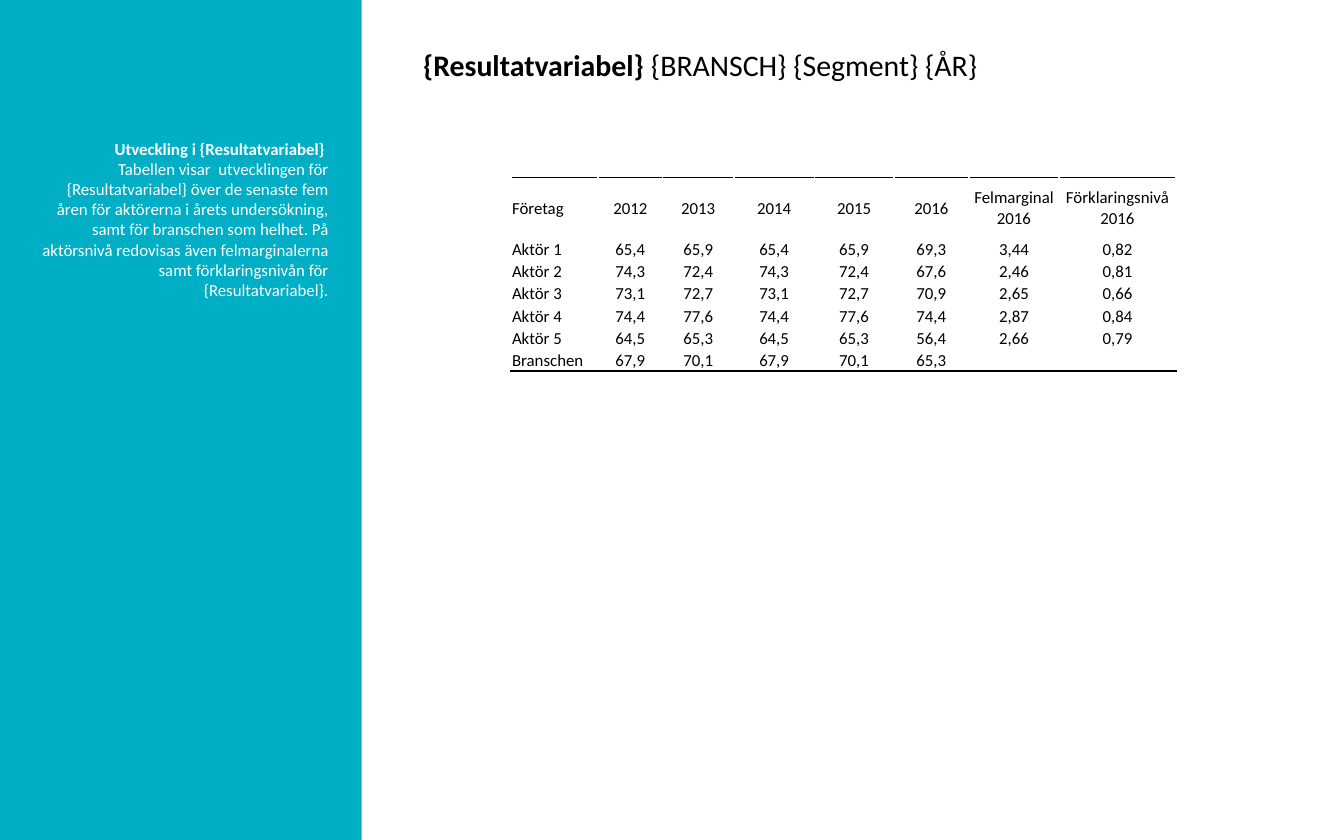
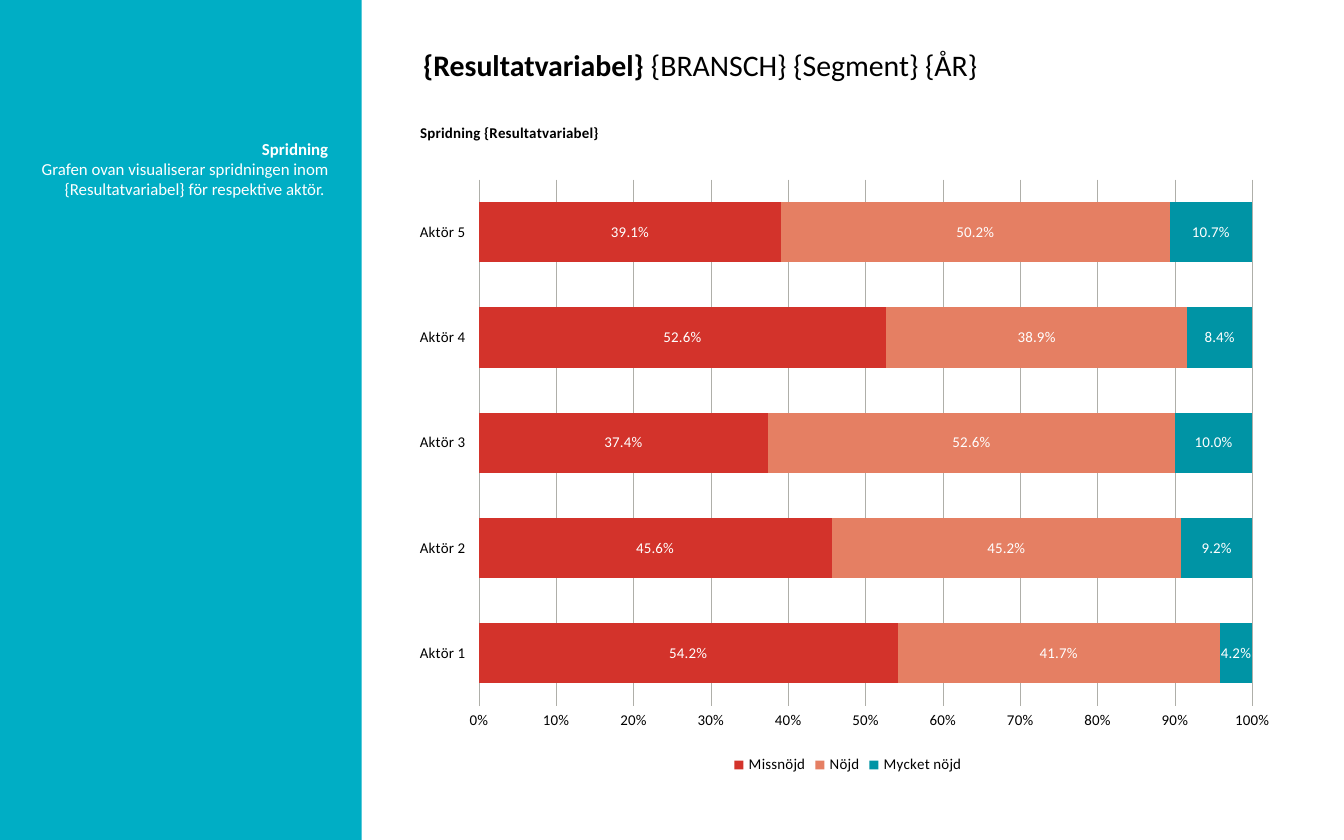
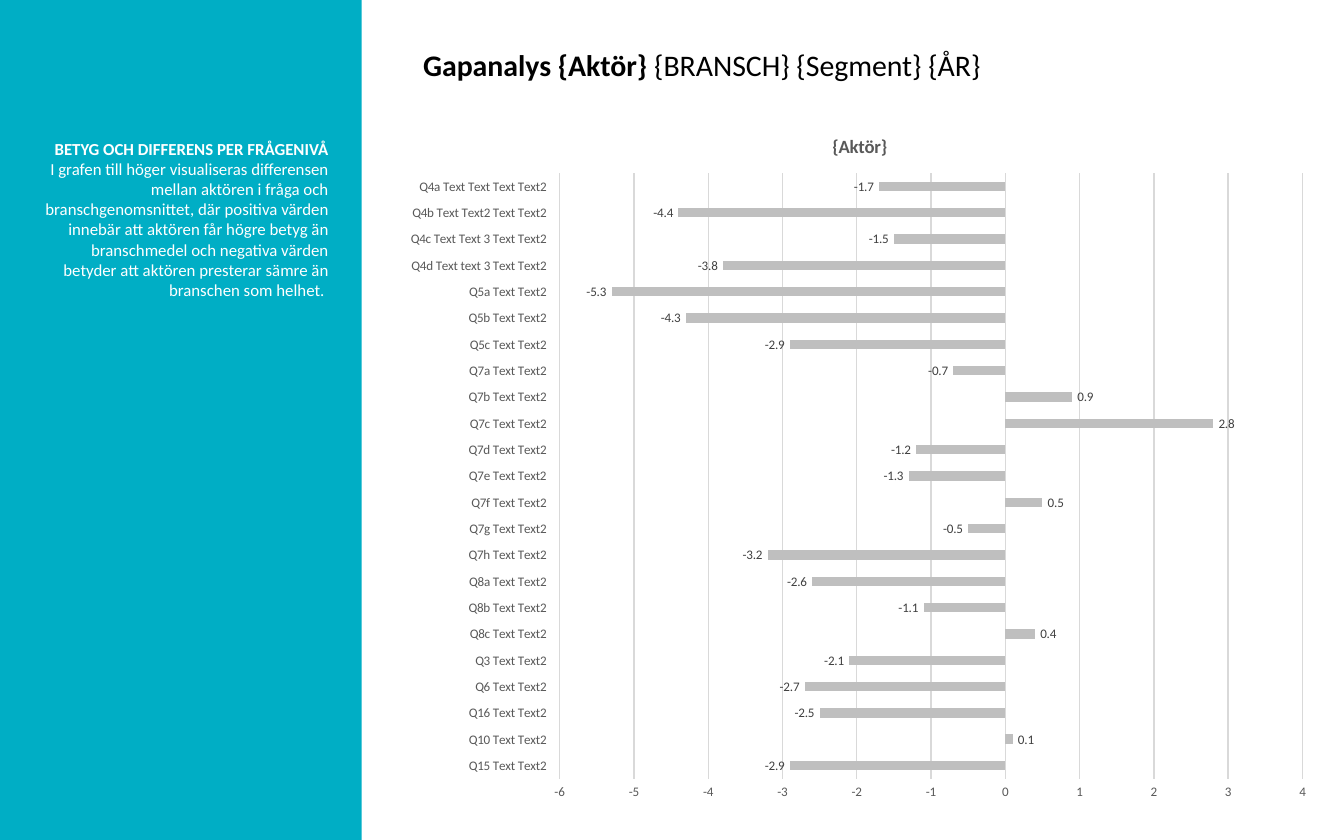
"""Build three slides on a result measure: a table, its spread and a gap chart."""
from lxml.etree import SubElement
from pptx import Presentation
from pptx.chart.data import CategoryChartData
from pptx.dml.color import RGBColor
from pptx.enum.chart import (XL_CHART_TYPE, XL_LABEL_POSITION, XL_LEGEND_POSITION,
                             XL_TICK_LABEL_POSITION, XL_TICK_MARK)
from pptx.enum.shapes import MSO_SHAPE
from pptx.enum.text import MSO_ANCHOR, PP_ALIGN
from pptx.oxml import parse_xml
from pptx.oxml.ns import nsdecls, qn
from pptx.util import Inches, Pt

TEAL = RGBColor(0x00, 0xAE, 0xC5)
WHITE = RGBColor(0xFF, 0xFF, 0xFF)
BLACK = RGBColor(0x00, 0x00, 0x00)
RED = RGBColor(0xD3, 0x33, 0x2B)
CORAL = RGBColor(0xE5, 0x7F, 0x63)
SEA = RGBColor(0x00, 0x94, 0xA5)
ASH = RGBColor(0xAF, 0xAF, 0xA9)
PALE = RGBColor(0xD9, 0xD9, 0xD9)
GREY = RGBColor(0xBF, 0xBF, 0xBF)
SLATE = RGBColor(0x59, 0x59, 0x59)
DARK = RGBColor(0x40, 0x40, 0x40)

FONT = "Calibri"
WIDE, HIGH = Inches(10), Inches(6.25)
COLS, ROWS = 100, 62.5
SCOPE = "{BRANSCH} {Segment} {ÅR}"

WIDTHS = [6.5, 4.8, 5.3, 6, 5.9, 5.6, 6.7, 8.7]
HEIGHTS = [4.5] + [1.65] * 6
TABLE = [
    ["Företag", "2012", "2013", "2014", "2015", "2016", "Felmarginal\n2016",
     "Förklaringsnivå 2016"],
    ["Aktör 1", "65,4", "65,9", "65,4", "65,9", "69,3", "3,44", "0,82"],
    ["Aktör 2", "74,3", "72,4", "74,3", "72,4", "67,6", "2,46", "0,81"],
    ["Aktör 3", "73,1", "72,7", "73,1", "72,7", "70,9", "2,65", "0,66"],
    ["Aktör 4", "74,4", "77,6", "74,4", "77,6", "74,4", "2,87", "0,84"],
    ["Aktör 5", "64,5", "65,3", "64,5", "65,3", "56,4", "2,66", "0,79"],
    ["Branschen", "67,9", "70,1", "67,9", "70,1", "65,3", "", ""],
]
SPREAD = {
    "Missnöjd": [0.542, 0.456, 0.374, 0.526, 0.391],
    "Nöjd": [0.417, 0.452, 0.526, 0.389, 0.502],
    "Mycket nöjd": [0.042, 0.092, 0.1, 0.084, 0.107],
}
GAPS = {
    "Q15 Text Text2": -2.9, "Q10 Text Text2": 0.1, "Q16 Text Text2": -2.5,
    "Q6 Text Text2": -2.7, "Q3 Text Text2": -2.1, "Q8c Text Text2": 0.4,
    "Q8b Text Text2": -1.1, "Q8a Text Text2": -2.6, "Q7h Text Text2": -3.2,
    "Q7g Text Text2": -0.5, "Q7f Text Text2": 0.5, "Q7e Text Text2": -1.3,
    "Q7d Text Text2": -1.2, "Q7c Text Text2": 2.8, "Q7b Text Text2": 0.9,
    "Q7a Text Text2": -0.7, "Q5c Text Text2": -2.9, "Q5b Text Text2": -4.3,
    "Q5a Text Text2": -5.3, "Q4d Text text 3 Text Text2": -3.8,
    "Q4c Text Text 3 Text Text2": -1.5, "Q4b Text Text2 Text Text2": -4.4,
    "Q4a Text Text Text Text2": -1.7,
}


def across(cols):
    """Turn grid columns into a length."""
    return int(WIDE * cols / COLS)


def down(rows):
    """Turn grid rows into a length."""
    return int(HIGH * rows / ROWS)


def area(x, y, w, h):
    """Turn a grid box into left, top, width and height."""
    return across(x), down(y), across(w), down(h)


def style(font, size, color, bold=False):
    """Format a font."""
    font.name, font.size, font.bold = FONT, Pt(size), bold
    font.color.rgb = color


def place(node, index, **shares):
    """Put a manual layout, in shares of the chart, at a child index."""
    for old in node.findall(qn("c:layout")):
        node.remove(old)
    layout = parse_xml(f"<c:layout {nsdecls('c')}><c:manualLayout/></c:layout>")
    manual = layout[0]
    if "w" in shares:
        SubElement(manual, qn("c:layoutTarget"), val="inner")
    for mode in ("xMode", "yMode"):
        SubElement(manual, qn("c:" + mode), val="edge")
    for key, share in shares.items():
        SubElement(manual, qn("c:" + key), val=str(share))
    node.insert(index, layout)


class Deck:
    """Hold the shared style and the current slide."""

    def __init__(self):
        """Start an empty deck."""
        self.prs = Presentation()
        self.prs.slide_width, self.prs.slide_height = WIDE, HIGH

    def page(self, lead, head, body):
        """Add a slide with its side band, title and side text."""
        self.slide = self.prs.slides.add_slide(self.prs.slide_layouts[6])
        self.band()
        title = self.text(30.5, 1.2, 55.1, 7.2, 1)
        title.vertical_anchor = MSO_ANCHOR.MIDDLE
        self.runs(title.paragraphs[0], 16, BLACK, lead + " ", SCOPE)
        side = self.text(1.6, 9.8, 23.8, 17.7, 2)
        for line, words, bold in zip(side.paragraphs, (head, body), (True, False)):
            line.alignment = PP_ALIGN.RIGHT
            line.text = words
            style(line.runs[0].font, 9, WHITE, bold)

    def band(self):
        """Draw the coloured side band."""
        band = self.slide.shapes.add_shape(MSO_SHAPE.RECTANGLE, *area(0, 0, 26.9, ROWS))
        band.shadow.inherit = False
        band.fill.solid()
        band.fill.fore_color.rgb = TEAL
        band.line.fill.background()

    def text(self, x, y, w, h, count):
        """Add a wrapping text box with a number of paragraphs."""
        frame = self.slide.shapes.add_textbox(*area(x, y, w, h)).text_frame
        frame.word_wrap = True
        for _ in range(count - 1):
            frame.add_paragraph()
        return frame

    def runs(self, line, size, color, *parts):
        """Fill a paragraph with runs, the first one bold."""
        for spot, part in enumerate(parts):
            run = line.add_run()
            run.text = part
            style(run.font, size, color, spot == 0)

    def table(self, x, y, rows):
        """Add a plain table ruled above and below."""
        box = area(x, y, sum(WIDTHS), sum(HEIGHTS))
        table = self.slide.shapes.add_table(len(rows), len(WIDTHS), *box).table
        table.first_row = table.horz_banding = False
        for col, width in zip(table.columns, WIDTHS):
            col.width = across(width)
        for row, height in zip(table.rows, HEIGHTS):
            row.height = down(height)
        for r, row in enumerate(rows):
            for c, words in enumerate(row):
                cell = table.cell(r, c)
                self.cell(cell, words, r == 0, c == 0)
                if r in (0, len(rows) - 1):
                    self.rule(cell, "lnB" if r else "lnT")

    def cell(self, cell, words, top, first):
        """Fill and format one cell."""
        cell.fill.background()
        cell.margin_left = cell.margin_right = cell.margin_top = Inches(0.01)
        cell.margin_bottom = 0
        cell.vertical_anchor = MSO_ANCHOR.MIDDLE if top else MSO_ANCHOR.BOTTOM
        cell.text_frame.text = words
        for line in cell.text_frame.paragraphs:
            line.alignment = PP_ALIGN.LEFT if first else PP_ALIGN.CENTER
            for run in line.runs:
                style(run.font, 9, BLACK)
            if not line.runs:
                SubElement(line._p, qn("a:endParaRPr"), sz="900")

    def rule(self, cell, side):
        """Draw a black line on one side of a cell."""
        cell._tc.get_or_add_tcPr().insert(0, parse_xml(
            f'<a:{side} {nsdecls("a")} w="12700"><a:solidFill>'
            f'<a:srgbClr val="{BLACK}"/></a:solidFill></a:{side}>'))

    def chart(self, kind, box, cats, series, fills, size, gap, form):
        """Add a bar chart with labelled series."""
        data = CategoryChartData(number_format=form)
        data.categories = cats
        for name, vals in series.items():
            data.add_series(name, vals)
        chart = self.slide.shapes.add_chart(kind, *area(*box), data).chart
        style(chart.font, size, BLACK)
        chart.has_legend = False
        plot = chart.plots[0]
        plot.gap_width, plot.vary_by_categories = gap, False
        for bar, fill in zip(plot.series, fills):
            bar.invert_if_negative = False
            bar.format.fill.solid()
            bar.format.fill.fore_color.rgb = fill
        return chart

    def labels(self, chart, size, color, form, spot):
        """Show the values on the bars."""
        for bar in chart.plots[0].series:
            tags = bar.data_labels
            tags.show_value = True
            tags.number_format, tags.number_format_is_linked = form, False
            tags.position = spot
            style(tags.font, size, color)

    def axes(self, chart, size, color, line, weight, form, scale):
        """Format both axes and the grid."""
        cat, val = chart.category_axis, chart.value_axis
        for axis in (cat, val):
            axis.major_tick_mark = axis.minor_tick_mark = XL_TICK_MARK.NONE
            style(axis.tick_labels.font, size, color)
        cat.has_major_gridlines = False
        cat.tick_label_position = XL_TICK_LABEL_POSITION.LOW
        val.has_major_gridlines = True
        for edge in (cat.format.line, val.major_gridlines.format.line):
            edge.color.rgb, edge.width = line, Pt(weight)
        val.format.line.fill.background()
        val.tick_labels.number_format = form
        val.tick_labels.number_format_is_linked = False
        val.minimum_scale, val.maximum_scale, val.major_unit = scale

    def head(self, chart, words, size, color, x, y):
        """Set the chart title at a share of the chart."""
        title = chart.chart_title
        title.text_frame.text = words
        style(title.text_frame.paragraphs[0].runs[0].font, size, color, True)
        title.include_in_layout = False
        place(title._element, 1, x=x, y=y)

    def frame(self, chart, x, y, w, h):
        """Set the inner plot area in shares of the chart."""
        place(chart._chartSpace.chart.plotArea, 0, x=x, y=y, w=w, h=h)

    def legend(self, chart, size):
        """Show the legend below the plot."""
        chart.has_legend = True
        chart.legend.position = XL_LEGEND_POSITION.BOTTOM
        chart.legend.include_in_layout = False
        style(chart.legend.font, size, BLACK)


def main():
    """Build and save the deck."""
    deck = Deck()
    deck.page("{Resultatvariabel}", "Utveckling i {Resultatvariabel} ",
              "Tabellen visar  utvecklingen för {Resultatvariabel} över de senaste fem "
              "åren för aktörerna i årets undersökning, samt för branschen som helhet. "
              "På aktörsnivå redovisas även felmarginalerna samt förklaringsnivån för "
              "{Resultatvariabel}.")
    deck.table(38, 13.2, TABLE)

    deck.page("{Resultatvariabel}", "Spridning",
              "Grafen ovan visualiserar spridningen inom {Resultatvariabel} för "
              "respektive aktör. ")
    actors = [row[0] for row in TABLE[1:-1]]
    spread = deck.chart(XL_CHART_TYPE.BAR_STACKED_100, (30.4, 8.4, 65.4, 49.6), actors,
                        SPREAD, (RED, CORAL, SEA), 8, 75, "0.0%")
    spread.plots[0].overlap = 100
    deck.labels(spread, 8, WHITE, "0.0%", XL_LABEL_POSITION.CENTER)
    deck.axes(spread, 8, BLACK, ASH, 0.25, "0%", (0, 1, 0.1))
    deck.head(spread, "Spridning {Resultatvariabel}", 8, BLACK, 0.01, 0.01)
    deck.frame(spread, 0.08, 0.1, 0.88, 0.79)
    deck.legend(spread, 8)

    deck.page("Gapanalys {Aktör}", "BETYG OCH DIFFERENS PER FRÅGENIVÅ",
              "I grafen till höger visualiseras differensen mellan aktören i fråga och "
              "branschgenomsnittet, där positiva värden innebär att aktören får högre "
              "betyg än branschmedel och negativa värden betyder att aktören presterar "
              "sämre än branschen som helhet. ")
    gaps = deck.chart(XL_CHART_TYPE.BAR_CLUSTERED, (29.2, 7.6, 69.1, 53), list(GAPS),
                      {"Series 1": list(GAPS.values())}, (GREY,), 7, 182, "0.0")
    deck.labels(gaps, 7, DARK, "0.0", XL_LABEL_POSITION.OUTSIDE_END)
    deck.axes(gaps, 7, SLATE, PALE, 0.75, "0", (-6, 4, 1))
    deck.head(gaps, "{Aktör}", 10, SLATE, 0.47, 0.04)
    deck.frame(gaps, 0.18, 0.1, 0.8, 0.85)

    deck.prs.save("out.pptx")


if __name__ == "__main__":
    main()
